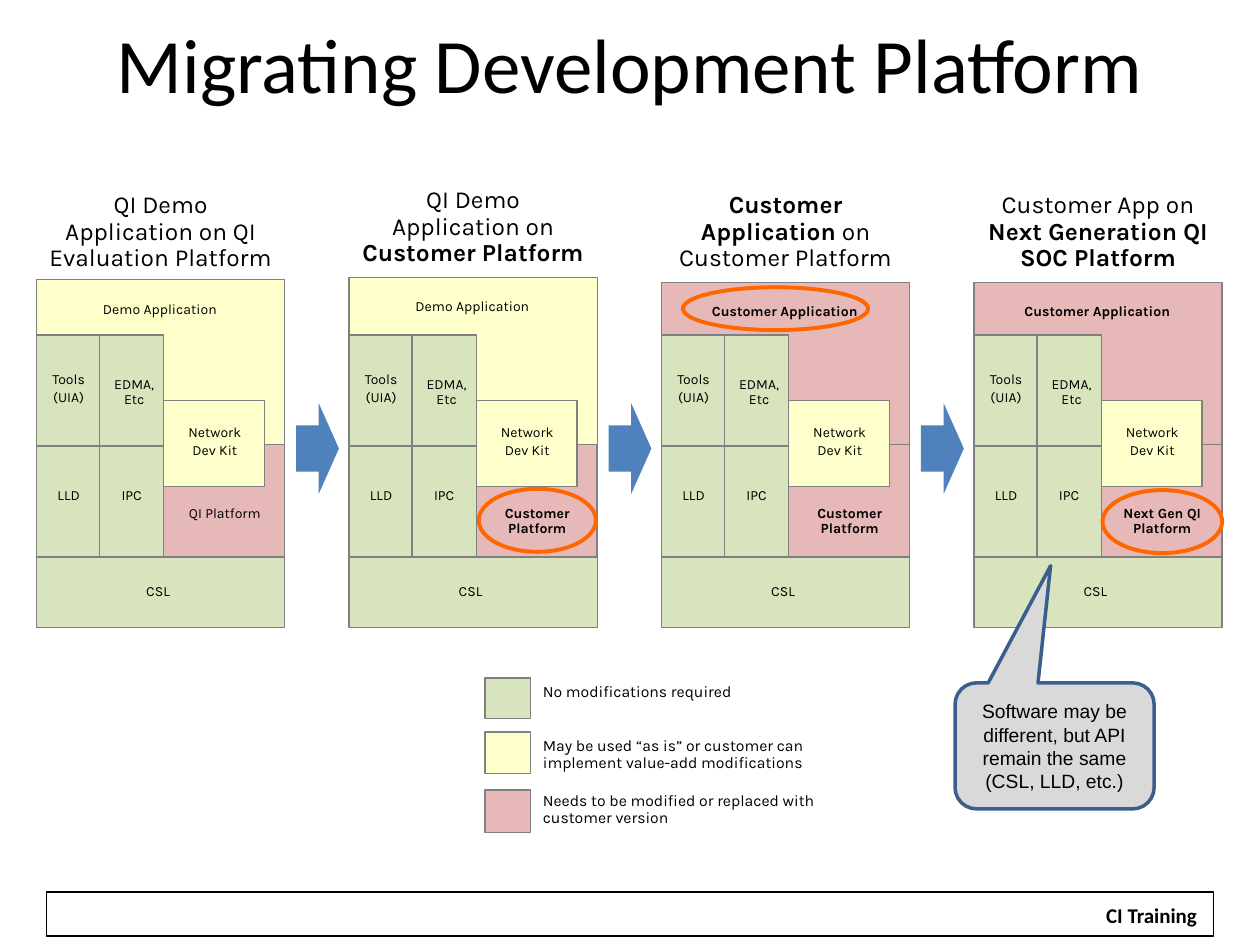
"""Build the slide on migrating a development platform."""
from dataclasses import dataclass

from pptx import Presentation
from pptx import util as u
from pptx.dml import color
from pptx.enum import shapes, text


@dataclass(frozen=True)
class Theme:
    """Colours, fonts and type sizes of the slide."""
    green: str = "D7E4BD"
    yellow: str = "FFFFCC"
    pink: str = "E6B9B8"
    blue: str = "4F81BD"
    navy: str = "3A5F8C"
    orange: str = "FF6600"
    light: str = "D9D9D9"
    grey: str = "808080"
    black: str = "000000"
    body: str = "Karla"
    head: str = "Calibri"
    plain: str = "Arial"
    title: int = 44
    large: int = 14
    foot: int = 12
    note: int = 11
    key: int = 9
    small: int = 8


THEME = Theme()
KIND = shapes.MSO_SHAPE
ALIGN = text.PP_ALIGN
STEP = 2.48

CELLS = [
    (0, 3.54, 0.5, 3.83, 0.51, ["LLD"]),
    (0.5, 3.54, 0.51, 3.83, 0.51, ["IPC"]),
    (0, 2.66, 0.5, 2.91, 0.51, ["Tools", "(UIA)"]),
    (0.5, 2.66, 0.51, 2.95, 0.55, ["EDMA, Etc"]),
]

STAGES = [
    dict(head=[("QI Demo Application on QI Evaluation Platform", False)], rise=1.48,
         app=("Demo Application", False), top=2.22, tall=2.2, tint=THEME.yellow,
         base=("QI Platform", False)),
    dict(head=[("QI Demo Application on ", False), ("Customer Platform", True)], rise=1.44,
         app=("Demo Application", False), top=2.2, tall=2.2, tint=THEME.yellow,
         base=("Customer Platform", True)),
    dict(head=[("Customer Application", True), (" on Customer Platform", False)], rise=1.48,
         app=("Customer Application", True), top=2.24, tall=1.3, tint=THEME.pink,
         base=("Customer Platform", True)),
    dict(head=[("Customer App on ", False), ("Next Generation QI SOC Platform", True)], rise=1.48,
         app=("Customer Application", True), top=2.24, tall=1.3, tint=THEME.pink,
         base=("Next Gen QI Platform", True)),
]

LEGEND = [
    (5.38, 0.32, 5.38, THEME.green, "No modifications required"),
    (5.81, 0.33, 5.81, THEME.yellow,
     "May be used “as is” or customer can implement value-add modifications"),
    (6.27, 0.34, 6.24, THEME.pink, "Needs to be modified or replaced with customer version"),
]

RINGS = [(5.42, 2.28, 1.47, 0.34), (3.8, 3.88, 0.93, 0.5), (8.75, 3.89, 0.95, 0.5)]


def inches(box):
    """Turn a left, top, width, height box into lengths."""
    return [u.Inches(side) for side in box]


def rgb(code):
    """Turn a hex code into a colour."""
    return color.RGBColor.from_string(code)


def add_run(para, words, size, font=THEME.body, bold=False):
    """Add one styled run to a paragraph."""
    run = para.add_run()
    run.text = words
    run.font.size = u.Pt(size)
    run.font.name = font
    run.font.bold = bold
    run.font.color.rgb = rgb(THEME.black)


def add_shape(pen, kind, box, fill=None, line=None, width=0.75, adjust=()):
    """Draw a flat preset shape."""
    shape = pen.add_shape(kind, *inches(box))
    shape.shadow.inherit = False
    for index, value in enumerate(adjust):
        shape.adjustments[index] = value
    if fill:
        shape.fill.solid()
        shape.fill.fore_color.rgb = rgb(fill)
    else:
        shape.fill.background()
    if line:
        shape.line.color.rgb = rgb(line)
        shape.line.width = u.Pt(width)
    else:
        shape.line.fill.background()
    return shape


def add_block(pen, box, fill):
    """Draw a filled block with a thin grey edge."""
    add_shape(pen, KIND.RECTANGLE, box, fill, THEME.grey)


def add_label(pen, box, paras, size=THEME.small, align=ALIGN.CENTER):
    """Add a text box from paragraphs of (words, bold) runs."""
    frame = pen.add_textbox(*inches(box)).text_frame
    frame.word_wrap = True
    frame.auto_size = text.MSO_AUTO_SIZE.SHAPE_TO_FIT_TEXT
    for index, runs in enumerate(paras):
        para = frame.add_paragraph() if index else frame.paragraphs[0]
        para.alignment = align
        para.line_spacing = 0.9
        if index:
            para.space_before = u.Pt(0.2 * size)
        for words, bold in runs:
            add_run(para, words, size, bold=bold)


def add_lines(pen, box, lines):
    """Add a small label with one plain run a line."""
    add_label(pen, box, [[(line, False)] for line in lines])


def add_stage(pen, left, stage):
    """Draw one software stack with its heading."""
    add_block(pen, (left, stage["top"], 1.97, stage["tall"]), stage["tint"])
    add_block(pen, (left, 4.42, 1.97, 0.56), THEME.green)
    add_lines(pen, (left, 4.59, 1.93, 0.22), ["CSL"])
    add_block(pen, (left + 1.01, 3.53, 0.96, 0.89), THEME.pink)
    add_label(pen, (left + 1.01, 3.97, 0.97, 0.34), [[stage["base"]]])
    add_block(pen, (left + 1.01, 3.18, 0.8, 0.68), THEME.yellow)
    add_lines(pen, (left + 1.01, 3.33, 0.81, 0.37), ["Network", "Dev Kit"])
    for shift, top, width, rise, span, lines in CELLS:
        add_block(pen, (left + shift, top, width, 0.88), THEME.green)
        add_lines(pen, (left + shift, rise, span, 0.37), lines)
    add_label(pen, (left - 0.02, stage["top"] + 0.13, 2, 0.22), [[stage["app"]]])
    add_label(pen, (left, stage["rise"], 1.97, 0.73), [stage["head"]], THEME.large)


def add_legend(pen):
    """Draw the colour key."""
    for top, tall, rise, fill, words in LEGEND:
        add_block(pen, (3.85, top, 0.36, tall), fill)
        add_label(pen, (4.21, rise, 2.35, 0.37), [[(words, False)]], THEME.key, ALIGN.LEFT)


def add_title(slide):
    """Place and fill the title."""
    title = slide.shapes.title
    title.left, title.top, title.width, title.height = inches((0.5, 0.08, 9, 0.83))
    frame = title.text_frame
    frame.vertical_anchor = text.MSO_ANCHOR.MIDDLE
    frame.paragraphs[0].alignment = ALIGN.CENTER
    add_run(frame.paragraphs[0], "Migrating Development Platform", THEME.title, THEME.head)


def add_footer(pen):
    """Draw the footer frame and its label."""
    add_shape(pen, KIND.RECTANGLE, (0.37, 7.08, 9.26, 0.35), line=THEME.black)
    frame = add_shape(pen, KIND.RECTANGLE, (8.67, 7.11, 0.94, 0.3), "FFFFFF").text_frame
    frame.word_wrap = False
    add_run(frame.paragraphs[0], "CI Training", THEME.foot, THEME.head, True)


def add_callout(pen):
    """Draw the speech bubble on the last stack."""
    shape = add_shape(pen, KIND.ROUNDED_RECTANGULAR_CALLOUT, (7.58, 5.42, 1.58, 1),
                      THEME.light, THEME.navy, 2, (-0.02, -1.43, 0.17))
    frame = shape.text_frame
    frame.word_wrap = True
    frame.vertical_anchor = text.MSO_ANCHOR.MIDDLE
    frame.paragraphs[0].alignment = ALIGN.CENTER
    add_run(frame.paragraphs[0],
            "Software may be different, but API remain the same (CSL, LLD, etc.)",
            THEME.note, THEME.plain)


def main():
    """Build and save the slide."""
    deck = Presentation()
    deck.slide_width, deck.slide_height = u.Inches(10), u.Inches(7.5)
    slide = deck.slides.add_slide(deck.slide_layouts[5])
    pen = slide.shapes
    add_footer(pen)
    add_title(slide)
    add_legend(pen.add_group_shape().shapes)
    for index, stage in enumerate(STAGES):
        left = 0.29 + index * STEP
        group = pen.add_group_shape().shapes
        add_stage(group, left, stage)
        if index:
            add_shape(group, KIND.RIGHT_ARROW, (left - 0.42, 3.2, 0.34, 0.72),
                      THEME.blue, adjust=(0.51, 0.47))
    for box in RINGS:
        add_shape(pen, KIND.OVAL, box, line=THEME.orange, width=2.25)
    add_callout(pen)
    deck.save("out.pptx")


if __name__ == "__main__":
    main()
